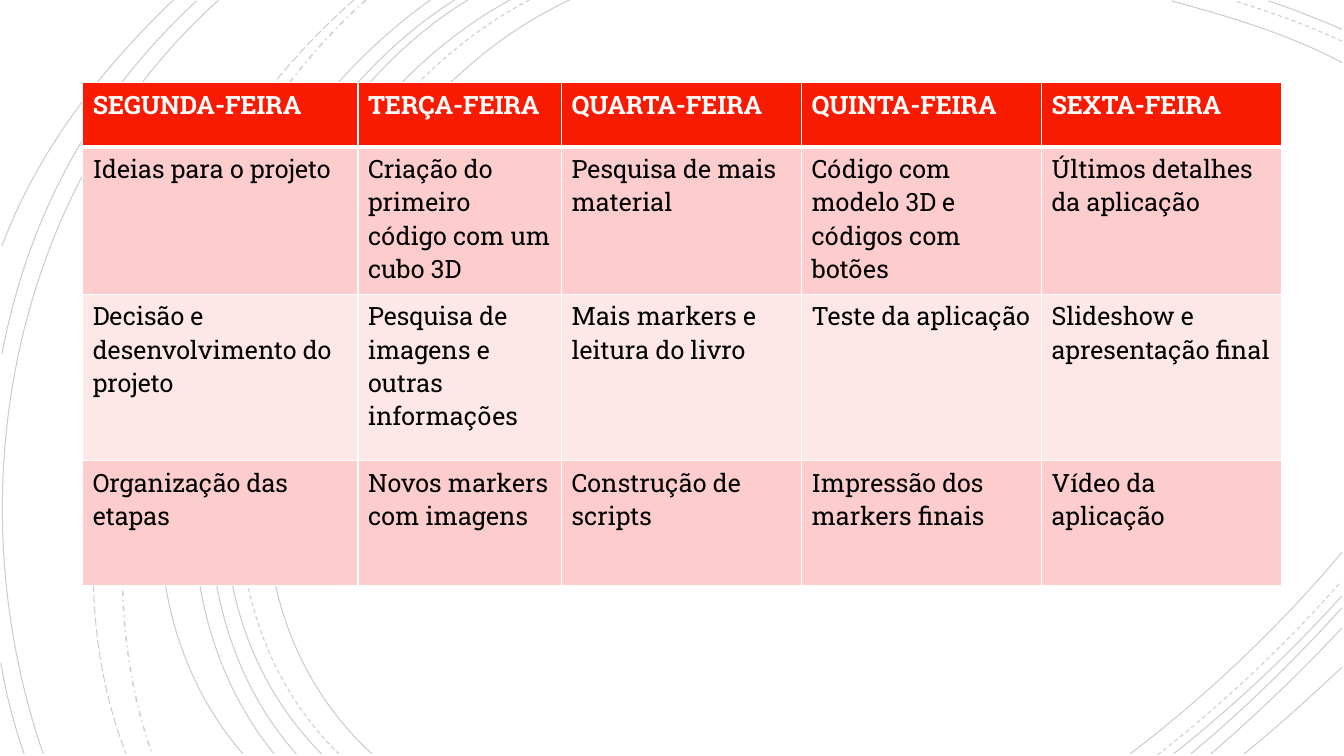
from lxml import etree
from pptx import Presentation
from pptx.dml.color import RGBColor
from pptx.enum.dml import MSO_LINE
from pptx.oxml.ns import qn
from pptx.util import Inches, Pt

SOLID, DASH = MSO_LINE.SOLID, MSO_LINE.DASH
DASH_DOT, LONG_DASH = MSO_LINE.DASH_DOT, MSO_LINE.LONG_DASH


def color(value):
    return RGBColor.from_string(value)


def add_border(tcPr, side, width):
    ln = etree.SubElement(tcPr, qn("a:ln" + side), w=str(Pt(width)))
    fill = etree.SubElement(ln, qn("a:solidFill"))
    etree.SubElement(fill, qn("a:srgbClr"), val="FFFFFF")


prs = Presentation()
prs.slide_width, prs.slide_height = Inches(13.33), Inches(7.5)
s = prs.slides.add_slide(prs.slide_layouts[6])

# Background arcs: start, two control points, end, dash style
arcs = [
    ((5.65, 0), (3.15, 1.15), (1.43, 5.4), (3.69, 7.48), SOLID),
    ((13.31, 0.62), (12.78, 0.34), (12.18, 0.16), (11.62, 0.01), SOLID),
    ((11.21, 7.48), (11.97, 6.9), (12.69, 6.22), (13.31, 5.48), SOLID),
    ((5.25, 0), (2.85, 1.25), (1.23, 5.37), (3.36, 7.48), DASH),
    ((13.31, 0.41), (12.97, 0.25), (12.6, 0.12), (12.25, 0.01), DASH),
    ((11.48, 7.49), (12.13, 6.98), (12.75, 6.4), (13.3, 5.77), DASH),
    ((5.06, 0), (2.7, 1.27), (1.1, 5.37), (3.19, 7.48), SOLID),
    ((13.31, 0.29), (13.07, 0.19), (12.83, 0.09), (12.58, 0.01), SOLID),
    ((11.64, 7.48), (12.23, 7.01), (12.8, 6.48), (13.31, 5.91), SOLID),
    ((4.64, 0), (2.44, 1.33), (1.1, 5.41), (2.94, 7.48), SOLID),
    ((11.81, 7.48), (12.34, 7.04), (12.84, 6.55), (13.31, 6.03), SOLID),
    ((4.51, 0), (2.31, 1.38), (0.97, 5.33), (2.72, 7.48), SOLID),
    ((12.01, 7.48), (12.46, 7.09), (12.9, 6.67), (13.31, 6.23), SOLID),
    ((4.27, 0), (2.17, 1.47), (0.53, 5.29), (2.41, 7.48), SOLID),
    ((12.34, 7.48), (12.67, 7.21), (12.99, 6.92), (13.31, 6.62), SOLID),
    ((3.63, 0), (1.76, 1.66), (0.65, 5.09), (1.51, 7.48), DASH_DOT),
    ((3.51, 0), (1.57, 1.69), (0.29, 4.99), (1.25, 7.48), LONG_DASH),
    ((2.17, 0), (0.11, 1.85), (-0.46, 4.9), (0.43, 7.48), SOLID),
    ((1.95, 0.01), (0.92, 0.96), (0.28, 2.14), (0.02, 3.51), SOLID),
    ((0.01, 6.58), (0.06, 6.89), (0.14, 7.19), (0.24, 7.48), SOLID),
    ((1.72, 0), (1, 0.69), (0.37, 1.5), (0.02, 2.44), SOLID),
]
for *controls, dash in arcs:
    points = [(Inches(x), Inches(y)) for x, y in controls]
    builder = s.shapes.build_freeform(*points[0])
    builder.add_line_segments(points[1:], close=False)
    arc = builder.convert_to_shape()
    # Join the three segments into one Bézier curve
    segments = list(arc._element.iter(qn("a:lnTo")))
    curve = etree.SubElement(segments[0].getparent(), qn("a:cubicBezTo"))
    for segment in segments:
        curve.append(segment[0])
        segment.getparent().remove(segment)
    arc.shadow.inherit = False
    arc.fill.background()
    arc.line.color.rgb = color("000000")
    arc.line.width = Pt(1 if dash == DASH_DOT else 0.75)
    arc.line.dash_style = dash
    srgb = arc.line._ln.find(".//" + qn("a:srgbClr"))
    etree.SubElement(srgb, qn("a:alpha"), val="20000")

# Weekly plan table
plan = [
    ["SEGUNDA-FEIRA", "TERÇA-FEIRA", "QUARTA-FEIRA", "QUINTA-FEIRA", "SEXTA-FEIRA"],
    ["Ideias para o projeto", "Criação do primeiro código com um cubo 3D",
     "Pesquisa de mais material", "Código com modelo 3D e códigos com botões",
     "Últimos detalhes da aplicação"],
    ["Decisão e desenvolvimento do projeto", "Pesquisa de imagens e outras informações",
     "Mais markers e leitura do livro", "Teste da aplicação",
     "Slideshow e apresentação final"],
    ["Organização das etapas", "Novos markers com imagens", "Construção de scripts",
     "Impressão dos markers finais", "Vídeo da aplicação"],
]
col_widths = [2.73, 2.02, 2.38, 2.38, 2.38]
row_heights = [0.64, 1.46, 1.65, 1.24]
row_fills = ["F81B02", "FCCDCC", "FEE8E7", "FCCDCC"]

table = s.shapes.add_table(len(plan), len(plan[0]), Inches(0.82), Inches(0.82),
                           Inches(sum(col_widths)), Inches(sum(row_heights))).table
for col, width in zip(table.columns, col_widths):
    col.width = Inches(width)
for row, height in zip(table.rows, row_heights):
    row.height = Inches(height)

for r, texts in enumerate(plan):
    header = r == 0
    font_format = {"name": "Roboto Slab", "size": Pt(18), "bold": header}
    # The rule under the header is thicker than the others
    borders = {"L": 1, "R": 1, "T": 3 if r == 1 else 1, "B": 3 if header else 1}
    for c, text in enumerate(texts):
        cell = table.cell(r, c)
        tcPr = cell._tc.get_or_add_tcPr()
        for side, width in borders.items():
            add_border(tcPr, side, width)
        cell.fill.solid()
        cell.fill.fore_color.rgb = color(row_fills[r])
        run = cell.text_frame.paragraphs[0].add_run()
        run.text = text
        for name, value in font_format.items():
            setattr(run.font, name, value)
        run.font.color.rgb = color("FFFFFF" if header else "000000")

prs.save("out.pptx")
